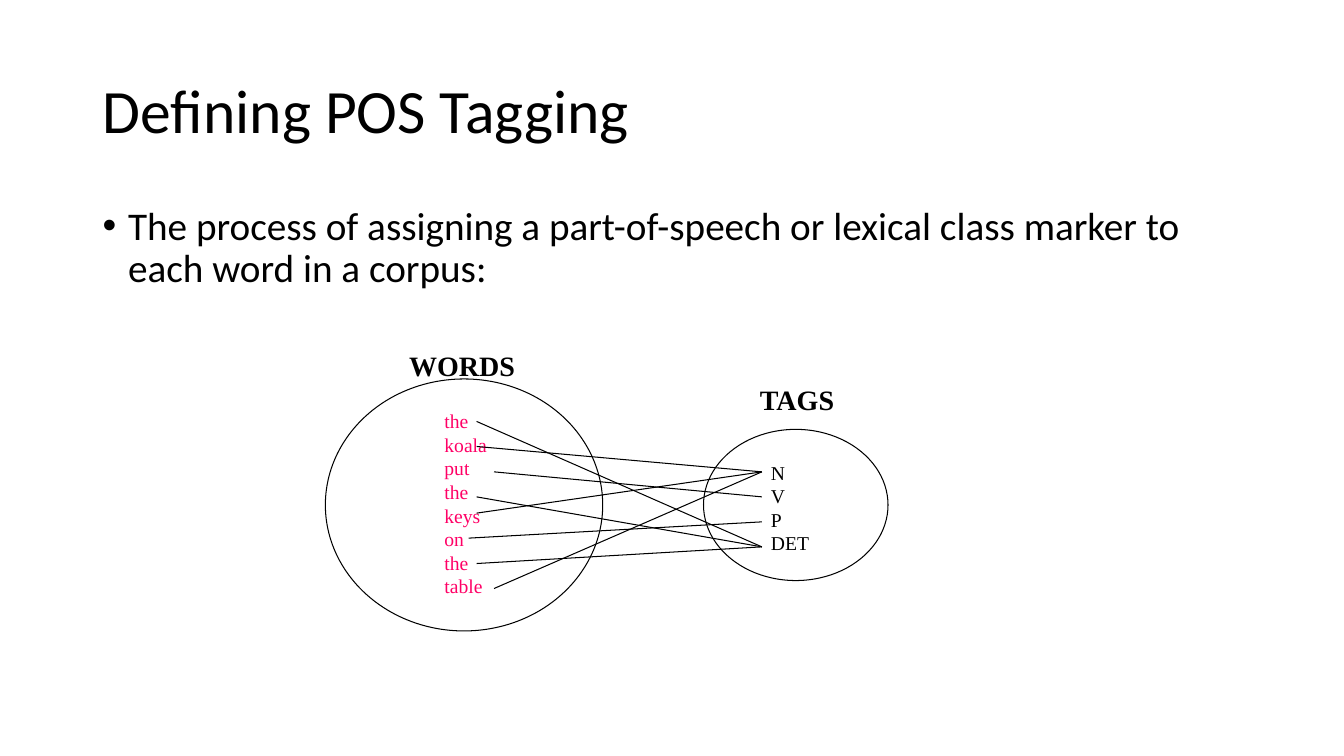
from dataclasses import dataclass

from lxml import etree
from pptx import Presentation
from pptx.dml.color import RGBColor
from pptx.enum.shapes import MSO_CONNECTOR, MSO_SHAPE
from pptx.enum.text import MSO_ANCHOR, MSO_AUTO_SIZE, PP_ALIGN
from pptx.oxml.ns import qn
from pptx.util import Cm, Pt

OVAL = MSO_SHAPE.OVAL
LINE = MSO_CONNECTOR.STRAIGHT
TOP = MSO_ANCHOR.TOP
MIDDLE = MSO_ANCHOR.MIDDLE
FIXED = MSO_AUTO_SIZE.NONE
GROW = MSO_AUTO_SIZE.SHAPE_TO_FIT_TEXT
LEFT = PP_ALIGN.LEFT

BLACK = "000000"
PINK = "FF0066"
SANS = "Calibri"
SERIF = "Times New Roman"

TITLE = {"name": SANS, "size": Pt(44)}
BODY = {"name": SANS, "size": Pt(28)}
HEAD = {"name": SERIF, "size": Pt(20), "bold": True}
ITEM = {"name": SERIF, "size": Pt(14)}


@dataclass
class Box:
    left: float
    top: float
    width: float
    height: float

    def place(self) -> list:
        return [Cm(v) for v in (self.left, self.top, self.width, self.height)]


@dataclass
class Label:
    box: Box
    lines: list
    look: dict
    tint: str = BLACK


@dataclass
class Word:
    text: str
    x: float
    y: float
    tag: str


TAGS = ["N", "V", "P", "DET"]
TAG_X, TAG_Y, TAG_STEP = 19.2, 11.89, 0.63

WORDS = [
    Word("the", 12.01, 10.62, "DET"),
    Word("koala", 12.01, 11.25, "N"),
    Word("put", 12.45, 11.89, "V"),
    Word("the", 12.01, 12.52, "DET"),
    Word("keys", 12.01, 12.93, "N"),
    Word("on", 11.81, 13.56, "P"),
    Word("the", 12.01, 14.2, "DET"),
    Word("table", 12.45, 14.83, "N"),
]

OVALS = [Box(8.2, 9.55, 6.99, 6.35), Box(17.73, 10.82, 4.65, 3.81)]

LABELS = [
    Label(Box(10.95, 10.19, 1.8, 4.98), [w.text for w in WORDS], ITEM, PINK),
    Label(Box(10.06, 8.66, 3.3, 1.09), ["WORDS"], HEAD),
    Label(Box(18.9, 9.52, 2.6, 1.09), ["TAGS"], HEAD),
    Label(Box(19.18, 11.48, 1.6, 2.62), TAGS, ITEM),
]


def color(code: str) -> RGBColor:
    return RGBColor.from_string(code)


def apply(target, values: dict) -> None:
    for key, value in values.items():
        setattr(target, key, value)


def write(frame, lines: list, look: dict, tint: str = BLACK) -> None:
    for i, line in enumerate(lines):
        para = frame.paragraphs[0] if i == 0 else frame.add_paragraph()
        para.alignment = LEFT
        run = para.add_run()
        run.text = line
        apply(run.font, look)
        run.font.color.rgb = color(tint)


def ink(shape) -> None:
    shape.line.color.rgb = color(BLACK)
    shape.line.width = Pt(0.75)


def draw_oval(group, box: Box) -> None:
    oval = group.shapes.add_shape(OVAL, *box.place())
    oval.shadow.inherit = False
    oval.fill.background()
    ink(oval)


def draw_label(group, label: Label) -> None:
    frame = group.shapes.add_textbox(*label.box.place()).text_frame
    apply(frame, {"word_wrap": False, "auto_size": GROW})
    write(frame, label.lines, label.look, label.tint)


def draw_link(group, word: Word) -> None:
    end = TAG_Y + TAG_STEP * TAGS.index(word.tag)
    link = group.shapes.add_connector(
        LINE, Cm(word.x), Cm(word.y), Cm(TAG_X), Cm(end))
    ink(link)
    etree.SubElement(link._element.spPr, qn("a:effectLst"))


def draw_title(slide) -> None:
    title = slide.shapes.title
    place = Box(2.34, 1.02, 29.21, 3.68).place()
    apply(title, dict(zip(("left", "top", "width", "height"), place)))
    frame = title.text_frame
    apply(frame, {"word_wrap": True, "auto_size": FIXED,
                  "vertical_anchor": MIDDLE})
    write(frame, ["Defining POS Tagging"], TITLE)
    frame.paragraphs[0].line_spacing = 0.9


def draw_body(slide) -> None:
    box = Box(2.34, 5.08, 29.21, 12.09)
    frame = slide.shapes.add_textbox(*box.place()).text_frame
    apply(frame, {"word_wrap": True, "auto_size": FIXED,
                  "vertical_anchor": TOP})
    para = frame.paragraphs[0]
    props = para._p.get_or_add_pPr()
    props.set("marL", str(Cm(0.64)))
    props.set("indent", str(Cm(-0.64)))
    etree.SubElement(props, qn("a:buFont")).set("typeface", "Arial")
    etree.SubElement(props, qn("a:buChar")).set("char", "•")
    para.line_spacing = 0.9
    write(frame, ["The process of assigning a part-of-speech or lexical "
                  "class marker to each word in a corpus:"], BODY)


def main() -> None:
    deck = Presentation()
    apply(deck, {"slide_width": Cm(33.87), "slide_height": Cm(19.05)})
    slide = deck.slides.add_slide(deck.slide_layouts[5])
    draw_title(slide)
    draw_body(slide)
    group = slide.shapes.add_group_shape()
    for box in OVALS:
        draw_oval(group, box)
    for label in LABELS:
        draw_label(group, label)
    for word in WORDS:
        draw_link(group, word)
    deck.save("out.pptx")


if __name__ == "__main__":
    main()
